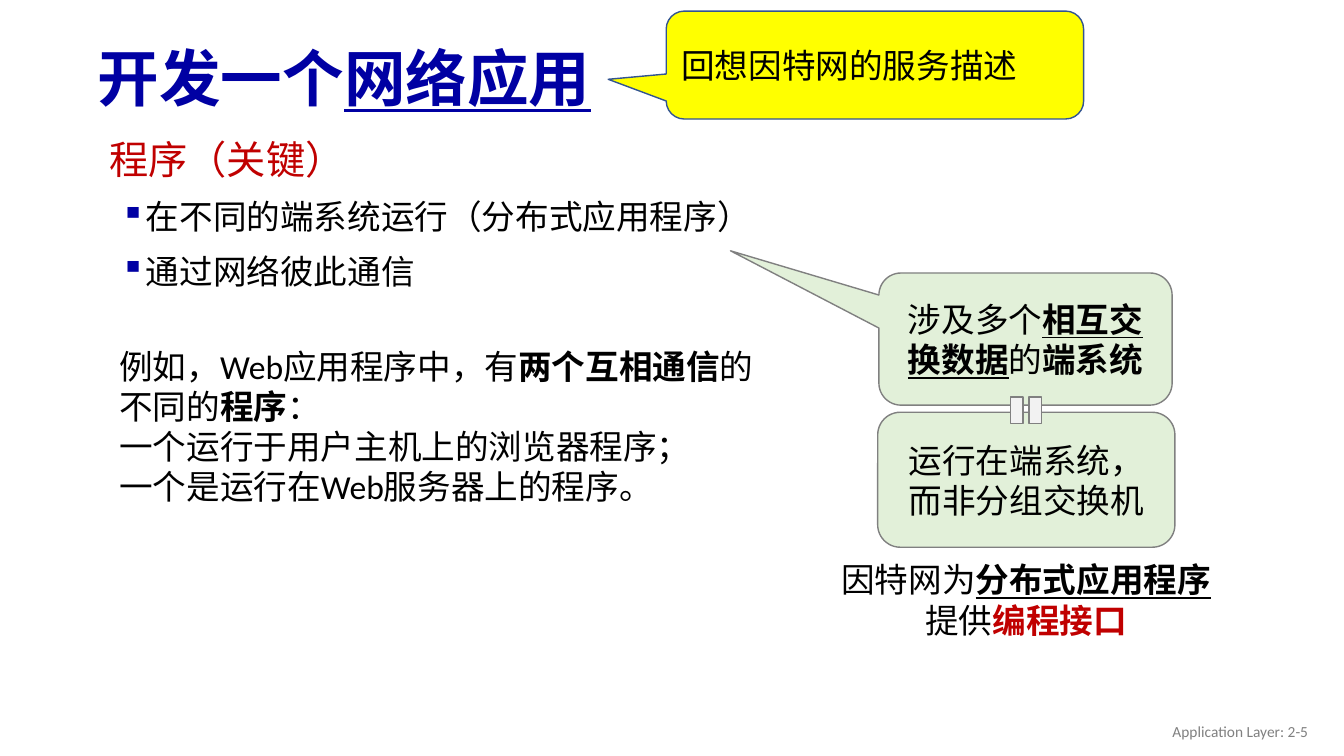
from lxml import etree
from pptx import Presentation
from pptx.dml.color import RGBColor
from pptx.enum.shapes import MSO_SHAPE
from pptx.enum.text import MSO_ANCHOR, PP_ALIGN
from pptx.oxml.ns import qn
from pptx.util import Cm, Pt

CALLOUT = MSO_SHAPE.ROUNDED_RECTANGULAR_CALLOUT
ROUND = MSO_SHAPE.ROUNDED_RECTANGLE
EQUAL = MSO_SHAPE.MATH_EQUAL
MIDDLE, TOP = MSO_ANCHOR.MIDDLE, MSO_ANCHOR.TOP
LEFT, CENTER, RIGHT = PP_ALIGN.LEFT, PP_ALIGN.CENTER, PP_ALIGN.RIGHT

COLORS = {
    "navy": "0000A3", "gray": "808080", "yellow": "FFFF00", "blue": "325491",
    "green": "E2F0D9", "pale": "F2F2F2", "black": "000000", "red": "C00000",
}


def color(name):
    return RGBColor.from_string(COLORS[name])


def write(para, runs, size=24, ink="black", align=LEFT, face="Calibri"):
    para.alignment = align
    para.font.size = Pt(size)
    para.font.name = face
    para.font.color.rgb = color(ink)
    for text, style in runs:
        run = para.add_run()
        run.text = text
        if "b" in style:
            run.font.bold = True
        if "u" in style:
            run.font.underline = True
        if "r" in style:
            run.font.color.rgb = color("red")


deck = Presentation()
deck.slide_width, deck.slide_height = Cm(33.87), Cm(19.05)
slide = deck.slides.add_slide(deck.slide_layouts[6])

shapes = [
    (CALLOUT, (16.79, 0.28, 10.52, 2.72), (-0.639, 0.132, 0.167),
     "yellow", "blue", LEFT, [("回想因特网的服务描述", "")]),
    (CALLOUT, (22.15, 6.88, 7.39, 3.33), (-1.006, -0.668, 0.167),
     "green", "gray", CENTER,
     [("涉及多个", ""), ("相互交换数据", "bu"), ("的", ""), ("端系统", "b")]),
    (ROUND, (22.12, 10.39, 7.49, 3.4), (), "green", "gray", CENTER,
     [("运行在端系统，而非分组交换机", "")]),
    (EQUAL, (25.4, 9.68, 0.91, 1.32), (), "pale", "gray", CENTER, []),
]
for kind, place, adjust, fill, line, align, runs in shapes:
    shape = slide.shapes.add_shape(kind, *map(Cm, place))
    shape.shadow.inherit = False
    for i, value in enumerate(adjust):
        shape.adjustments[i] = value
    shape.fill.solid()
    shape.fill.fore_color.rgb = color(fill)
    shape.line.color.rgb = color(line)
    shape.line.width = Pt(1)
    if kind == EQUAL:
        shape.rotation = 90
    if runs:
        shape.text_frame.vertical_anchor = MIDDLE
        write(shape.text_frame.paragraphs[0], runs, align=align)

labels = [
    ((2.21, 0.81, 29.21, 2.49), MIDDLE, 44, "navy", LEFT, "Noto Sans CJK SC",
     [("开发一个", "b"), ("网络应用", "bu")]),
    ((25.6, 17.91, 7.62, 1.02), MIDDLE, 11, "gray", RIGHT, "Calibri",
     [("Application Layer: 2-5", "")]),
    ((20.6, 13.97, 10.52, 2.31), TOP, 24, "black", CENTER, "Calibri",
     [("因特网为", ""), ("分布式应用程序", "bu"), ("提供", ""), ("编程接口", "br")]),
]
for place, anchor, size, ink, align, face, runs in labels:
    frame = slide.shapes.add_textbox(*map(Cm, place)).text_frame
    frame.word_wrap = True
    frame.vertical_anchor = anchor
    para = frame.paragraphs[0]
    if size == 44:
        para.line_spacing = 0.9
    write(para, runs, size, ink, align, face)

body = [
    (0.05, 0, 0, 28, "red", [("程序（关键）", "")]),
    (0.97, -0.64, 10, 24, "black", [("在不同的端系统运行（分布式应用程序）", "")]),
    (0.97, -0.64, 10, 24, "black", [("通过网络彼此通信", "")]),
    (0.3, 0, 39, 24, "black",
     [("例如，Web应用程序中，有", ""), ("两个互相通信", "b"), ("的不同的", ""),
      ("程序", "b"), ("：", "")]),
    (0.3, 0, 0, 24, "black", [("一个运行于用户主机上的浏览器程序；", "")]),
    (0.3, 0, 0, 24, "black", [("一个是运行在Web服务器上的程序。", "")]),
]
frame = slide.shapes.add_textbox(Cm(2.46), Cm(3.28), Cm(17.37), Cm(14.71)).text_frame
frame.word_wrap = True
for i, (margin, indent, before, size, ink, runs) in enumerate(body):
    para = frame.add_paragraph() if i else frame.paragraphs[0]
    props = para._p.get_or_add_pPr()
    props.set("marL", str(Cm(margin)))
    props.set("indent", str(Cm(indent)))
    if before:
        para.space_before = Pt(before)
    if indent:
        tint = etree.SubElement(props, qn("a:buClr"))
        etree.SubElement(tint, qn("a:srgbClr"), val=COLORS["navy"])
        etree.SubElement(props, qn("a:buChar"), char="▪")
    write(para, runs, size, ink)

deck.save("out.pptx")
